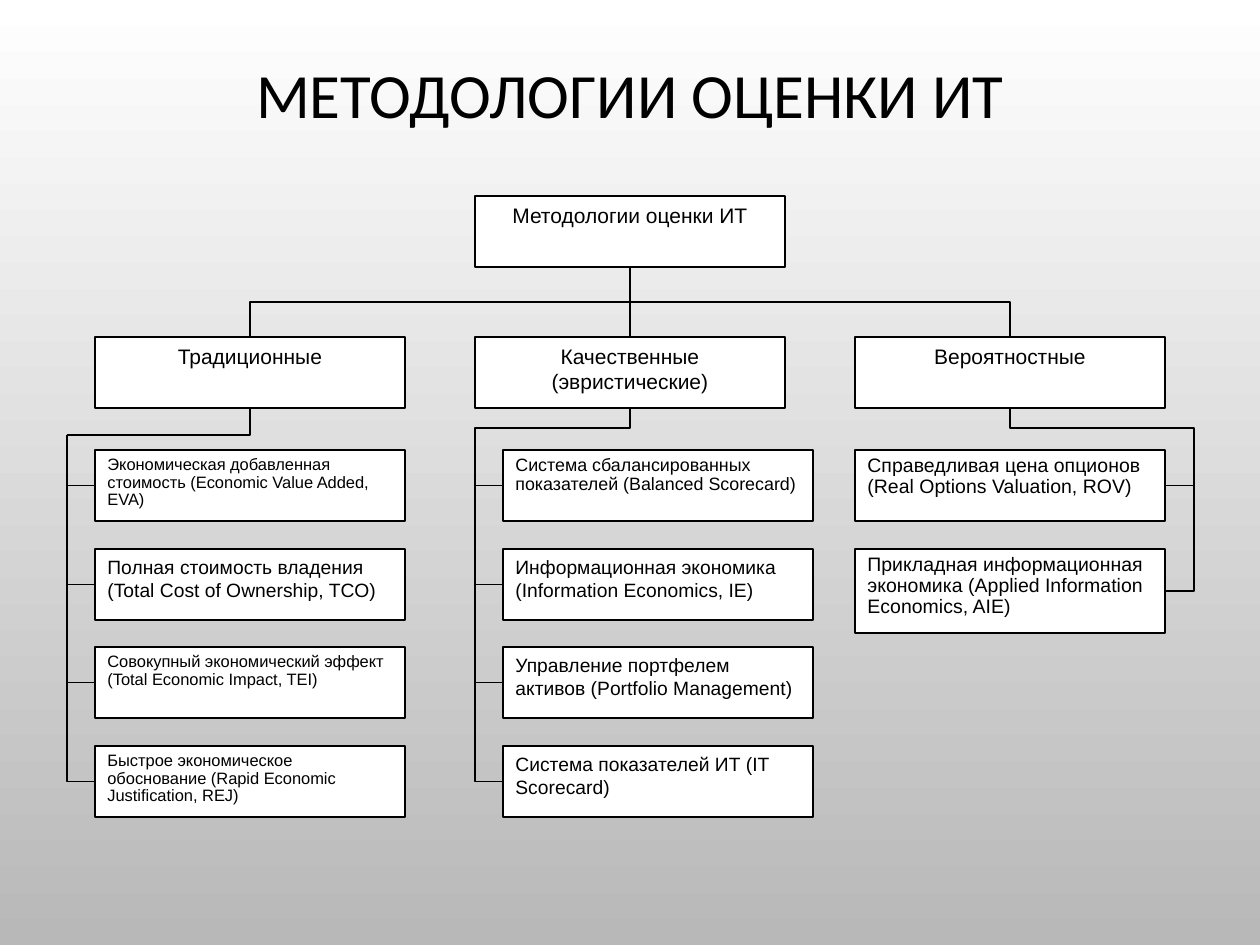
from dataclasses import dataclass

from pptx import Presentation
from pptx.dml.color import RGBColor
from pptx.enum.shapes import MSO_CONNECTOR, MSO_SHAPE
from pptx.enum.text import MSO_ANCHOR, PP_ALIGN
from pptx.oxml.ns import qn
from pptx.oxml.xmlchemy import OxmlElement
from pptx.util import Inches, Pt


@dataclass(frozen=True)
class Theme:
    ink: RGBColor = RGBColor(0, 0, 0)
    paper: RGBColor = RGBColor(0xFF, 0xFF, 0xFF)
    shade: RGBColor = RGBColor(0xB8, 0xB8, 0xB8)
    title_font: str = "Calibri"
    body_font: str = "Arial"
    title_size: float = 36
    head_size: float = 12
    line_width: float = 0.75


THEME = Theme()
TITLE = "МЕТОДОЛОГИИ ОЦЕНКИ ИТ"
ROOT = "Методологии оценки ИТ"
BOX_W, BOX_H = 310, 71
ROOT_Y, HEAD_Y = 196, 337
ITEM_Y, ITEM_PITCH = 450, 98.6
SPINE_REACH = 106
MIDDLE_X = 475


@dataclass(frozen=True)
class Branch:
    """One column; each item is text, type size, line spacing, box height."""
    head: str
    head_x: int
    item_x: int
    spine_x: int
    turn_y: int
    items: tuple


BRANCHES = (
    Branch("Традиционные", 95, 95, 67, 435, (
        ("Экономическая добавленная стоимость (Economic Value Added, EVA)", 9.4, 0.9, BOX_H),
        ("Полная стоимость владения (Total Cost of Ownership, TCO)", 11, 1.0, BOX_H),
        ("Совокупный экономический эффект (Total Economic Impact, TEI)", 9.4, 0.9, BOX_H),
        ("Быстрое экономическое обоснование (Rapid Economic Justification, REJ)", 9.4, 0.9, BOX_H),
    )),
    Branch("Качественные (эвристические)", MIDDLE_X, 503, 475, 428, (
        ("Система сбалансированных показателей (Balanced Scorecard)", 10.2, 0.9, BOX_H),
        ("Информационная экономика (Information Economics, IE)", 11, 1.0, BOX_H),
        ("Управление портфелем активов (Portfolio Management)", 11, 1.0, BOX_H),
        ("Система показателей ИТ (IT Scorecard)", 11, 1.0, BOX_H),
    )),
    Branch("Вероятностные", 855, 855, 1194, 428, (
        ("Справедливая цена опционов (Real Options Valuation, ROV)", 11.1, 0.9, BOX_H),
        ("Прикладная информационная экономика (Applied Information Economics, AIE)", 11.1, 0.9, 84),
    )),
)


def px(n):
    return round(n * Inches(1) / 126)


def format_text(tf, font, size, align, spacing):
    p = tf.paragraphs[0]
    p.alignment = align
    p.line_spacing = spacing
    for r in p.runs:
        r.font.name = font
        r.font.size = Pt(size)
        r.font.color.rgb = THEME.ink


def paint_background(s):
    fill = s.background.fill
    fill.gradient()
    fill.gradient_angle = 270
    for stop, color in zip(fill.gradient_stops, (THEME.paper, THEME.shade)):
        stop.color.rgb = color


def set_title(s):
    sp = s.shapes.title
    sp.left, sp.top, sp.width, sp.height = px(63), px(38), px(1134), px(120)
    sp.text_frame.text = TITLE
    sp.text_frame.vertical_anchor = MSO_ANCHOR.MIDDLE
    format_text(sp.text_frame, THEME.title_font, THEME.title_size, PP_ALIGN.CENTER, 0.9)


def add_box(s, text, x, y, size=THEME.head_size, spacing=1.0, h=BOX_H, align=PP_ALIGN.CENTER):
    sp = s.shapes.add_shape(MSO_SHAPE.RECTANGLE, px(x), px(y), px(BOX_W), px(h))
    sp.shadow.inherit = False
    sp.fill.solid()
    sp.fill.fore_color.rgb = THEME.paper
    sp.line.color.rgb = THEME.ink
    sp.line.width = Pt(THEME.line_width)
    tf = sp.text_frame
    tf.word_wrap = True
    tf.vertical_anchor = MSO_ANCHOR.TOP
    tf.text = text
    format_text(tf, THEME.body_font, size, align, spacing)
    return sp


def add_line(s, start, end, kind=MSO_CONNECTOR.STRAIGHT):
    c = s.shapes.add_connector(kind, *map(px, (*start, *end)))
    c.line.color.rgb = THEME.ink
    c.line.width = Pt(THEME.line_width)
    c.element.spPr.append(OxmlElement("a:effectLst"))
    return c


def add_elbow(s, start, end, preset, adjustments=()):
    """Draw a bent connector that leaves its start horizontally."""
    c = add_line(s, start, end, MSO_CONNECTOR.ELBOW)
    geom = c.element.spPr.find(qn("a:prstGeom"))
    geom.set("prst", preset)
    guides = geom.find(qn("a:avLst"))
    for i, share in enumerate(adjustments, 1):
        gd = OxmlElement("a:gd")
        gd.set("name", f"adj{i}")
        gd.set("fmla", f"val {round(share * 100000)}")
        guides.append(gd)
    return c


def add_drop(s, start, end):
    """Draw a bent connector going down, across and down: a quarter-turned elbow."""
    (x1, y1), (x2, y2) = start, end
    cx, cy = (x1 + x2) / 2, (y1 + y2) / 2
    half_w, half_h = (y2 - y1) / 2, (x2 - x1) / 2
    c = add_elbow(s, (cx - half_w, cy + half_h), (cx + half_w, cy - half_h),
                  "bentConnector3", (0.5,))
    c.element.spPr.find(qn("a:xfrm")).set("rot", "5400000")


def add_branch(s, b, root):
    mid_x, root_x = b.head_x + BOX_W / 2, MIDDLE_X + BOX_W / 2
    head_bottom = HEAD_Y + BOX_H
    head = add_box(s, b.head, b.head_x, HEAD_Y)
    top, root_bottom = (mid_x, HEAD_Y), (root_x, ROOT_Y + BOX_H)
    if mid_x == root_x:
        trunk = add_line(s, top, root_bottom)
        trunk.begin_connect(head, 0)
        trunk.end_connect(root, 2)
    else:
        add_drop(s, root_bottom, top)

    edge_x = b.item_x + (BOX_W if b.spine_x > b.item_x else 0)
    for i, (text, size, spacing, h) in enumerate(b.items):
        y = round(ITEM_Y + i * ITEM_PITCH)
        mid_y = y + h / 2
        add_box(s, text, b.item_x, y, size, spacing, h, PP_ALIGN.LEFT)
        if i:
            add_elbow(s, (edge_x, mid_y), (b.spine_x, mid_y - SPINE_REACH), "bentConnector2")
        elif b.spine_x < b.head_x:
            add_elbow(s, (b.spine_x, b.turn_y), (mid_x, head_bottom), "bentConnector2")
            add_elbow(s, (edge_x, mid_y), (b.spine_x, b.turn_y), "bentConnector2")
        else:
            across = (b.spine_x - edge_x) / (mid_x - edge_x)
            up = (b.turn_y - mid_y) / (head_bottom - mid_y)
            add_elbow(s, (edge_x, mid_y), (mid_x, head_bottom), "bentConnector4", (across, up))


def main():
    prs = Presentation()
    prs.slide_width, prs.slide_height = px(1260), px(945)
    s = prs.slides.add_slide(prs.slide_layouts[5])
    paint_background(s)
    set_title(s)
    root = add_box(s, ROOT, MIDDLE_X, ROOT_Y)
    for b in BRANCHES:
        add_branch(s, b, root)
    prs.save("out.pptx")


if __name__ == "__main__":
    main()
